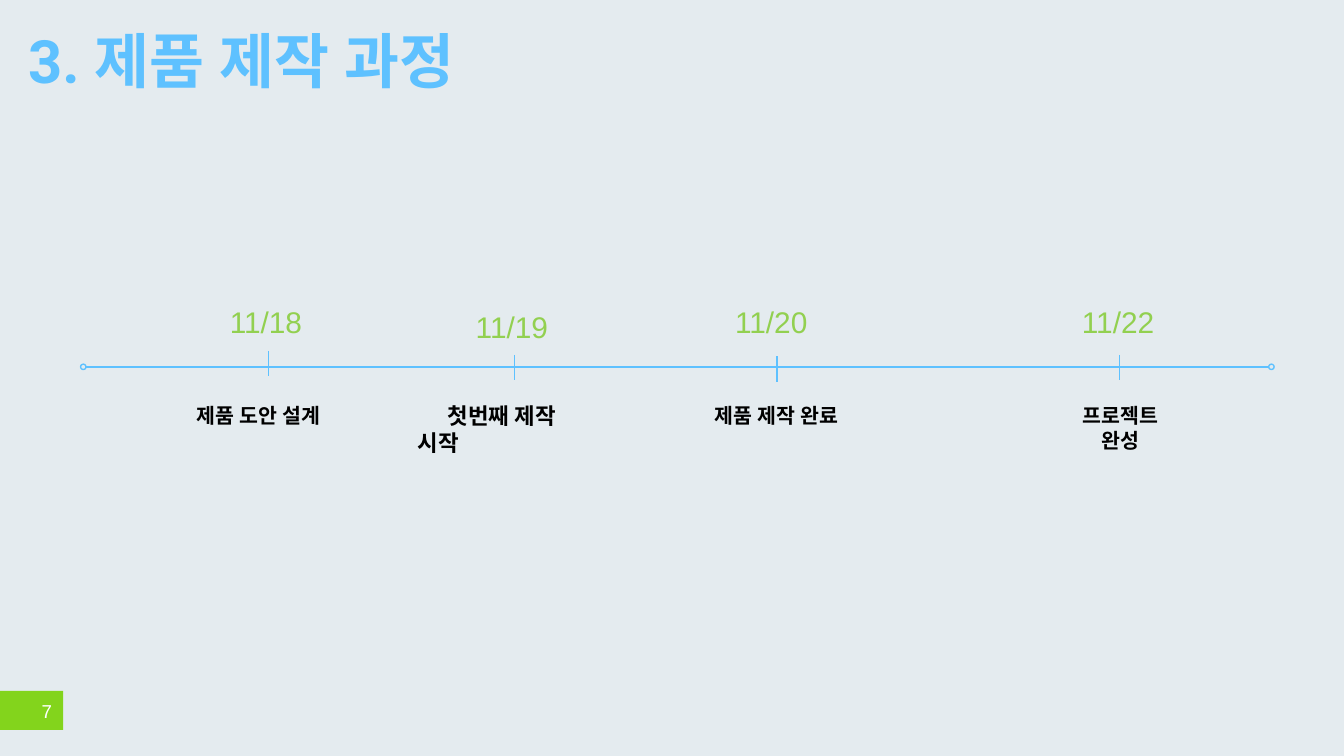
from lxml import etree
from pptx import Presentation
from pptx.dml.color import RGBColor
from pptx.enum.shapes import MSO_CONNECTOR, MSO_SHAPE
from pptx.enum.text import MSO_ANCHOR, MSO_AUTO_SIZE, PP_ALIGN
from pptx.oxml.ns import qn
from pptx.util import Inches, Pt

BLUE, GREEN, LIME = "5EC1FF", "92D050", "83D41C"
BLACK, WHITE, BACKGROUND = "000000", "FFFFFF", "E4EBEF"


def color(value):
    return RGBColor.from_string(value)


def fill_text(shape, text, font, size, ink, bold=False, align=PP_ALIGN.LEFT,
              margin=0, indent=0, insets=(0, 0)):
    frame = shape.text_frame
    frame.word_wrap = True
    frame.auto_size = MSO_AUTO_SIZE.NONE
    frame.vertical_anchor = MSO_ANCHOR.TOP
    frame.margin_left = frame.margin_right = Inches(insets[0])
    frame.margin_top = frame.margin_bottom = Inches(insets[1])
    frame.text = text
    para = frame.paragraphs[0]
    para.alignment = align
    properties = para._p.get_or_add_pPr()
    properties.set("marL", str(Inches(margin)))
    properties.set("indent", str(Inches(indent)))
    para.font.name = font
    para.font.size = Pt(size)
    para.font.bold = bold
    para.font.color.rgb = color(ink)
    east_asian = etree.SubElement(properties.find(qn("a:defRPr")), qn("a:ea"))
    east_asian.set("typeface", font)
    return para


def add_text(page, box, text, font, size, ink, **style):
    shape = page.shapes.add_textbox(*map(Inches, box))
    return fill_text(shape, text, font, size, ink, **style)


def add_line(page, x1, y1, x2, y2):
    line = page.shapes.add_connector(
        MSO_CONNECTOR.STRAIGHT, *map(Inches, (x1, y1, x2, y2)))
    line.line.color.rgb = color(BLUE)
    line.line.width = Pt(0.75)
    etree.SubElement(line._element.spPr, qn("a:effectLst"))


def add_title(page, box, text):
    title = page.shapes.title
    title.left, title.top, title.width, title.height = map(Inches, box)
    fill_text(title, text, "Roboto", 32, BLUE, bold=True)


def add_page_number(page, box, number):
    left, top, width, height = box
    tab = page.shapes.add_shape(MSO_SHAPE.RECTANGLE, *map(Inches, box))
    tab.shadow.inherit = False
    tab.fill.solid()
    tab.fill.fore_color.rgb = color(LIME)
    tab.line.fill.background()
    para = add_text(page, (left + 0.21, top + 0.08, 0.2, 0.15), number,
                    "Arial", 10, WHITE, margin=0.1)
    para.line_spacing = Pt(11.1)


def add_axis(page, box):
    left, top, width, height = box
    middle = top + height / 2
    add_line(page, left + height, middle, left + width - height, middle)
    for x in (left, left + width - height):
        end = page.shapes.add_shape(
            MSO_SHAPE.OVAL, *map(Inches, (x, top, height, height)))
        end.shadow.inherit = False
        end.fill.background()
        end.line.color.rgb = color(BLUE)
        end.line.width = Pt(0.75)


def add_milestone(page, x, tick_top, date, date_box, label, label_box, size, style):
    add_line(page, x, tick_top, x, tick_top + 0.19)
    add_text(page, date_box, date, "Arial", 16, GREEN, margin=0.01)
    add_text(page, label_box, label, "Roboto", size, BLACK, bold=True, **style)


MILESTONES = [
    (2, 2.61, "11/18", (1.7, 2.26, 0.59, 0.27),
     "제품 도안 설계", (1.45, 3, 1.1, 0.19), 11,
     dict(align=PP_ALIGN.JUSTIFY, margin=0.01)),
    (3.83, 2.64, "11/19", (3.53, 2.3, 0.67, 0.27),
     "첫번째 제작 시작", (3.1, 2.99, 1.37, 0.2), 12,
     dict(margin=0.01, indent=0.22)),
    (5.78, 2.65, "11/20", (5.46, 2.26, 0.64, 0.27),
     "제품 제작 완료", (5.02, 3, 1.51, 0.19), 11,
     dict(align=PP_ALIGN.CENTER, margin=0.28, indent=-0.27)),
    (8.33, 2.64, "11/22", (8.04, 2.26, 0.58, 0.27),
     "프로젝트 완성", (7.8, 2.95, 1.08, 0.29), 11,
     dict(align=PP_ALIGN.CENTER, insets=(0.2, 0.05))),
]


def main():
    deck = Presentation()
    deck.slide_width = Inches(10)
    deck.slide_height = deck.slide_width * 9 // 16
    page = deck.slides.add_slide(deck.slide_layouts[5])
    page.background.fill.solid()
    page.background.fill.fore_color.rgb = color(BACKGROUND)
    add_page_number(page, (0, 5.14, 0.47, 0.29), "7")
    add_title(page, (0.21, 0.18, 8.84, 0.54), "3. 제품 제작 과정")
    add_axis(page, (0.6, 2.71, 8.88, 0.04))
    for milestone in MILESTONES:
        add_milestone(page, *milestone)
    deck.save("out.pptx")


if __name__ == "__main__":
    main()
